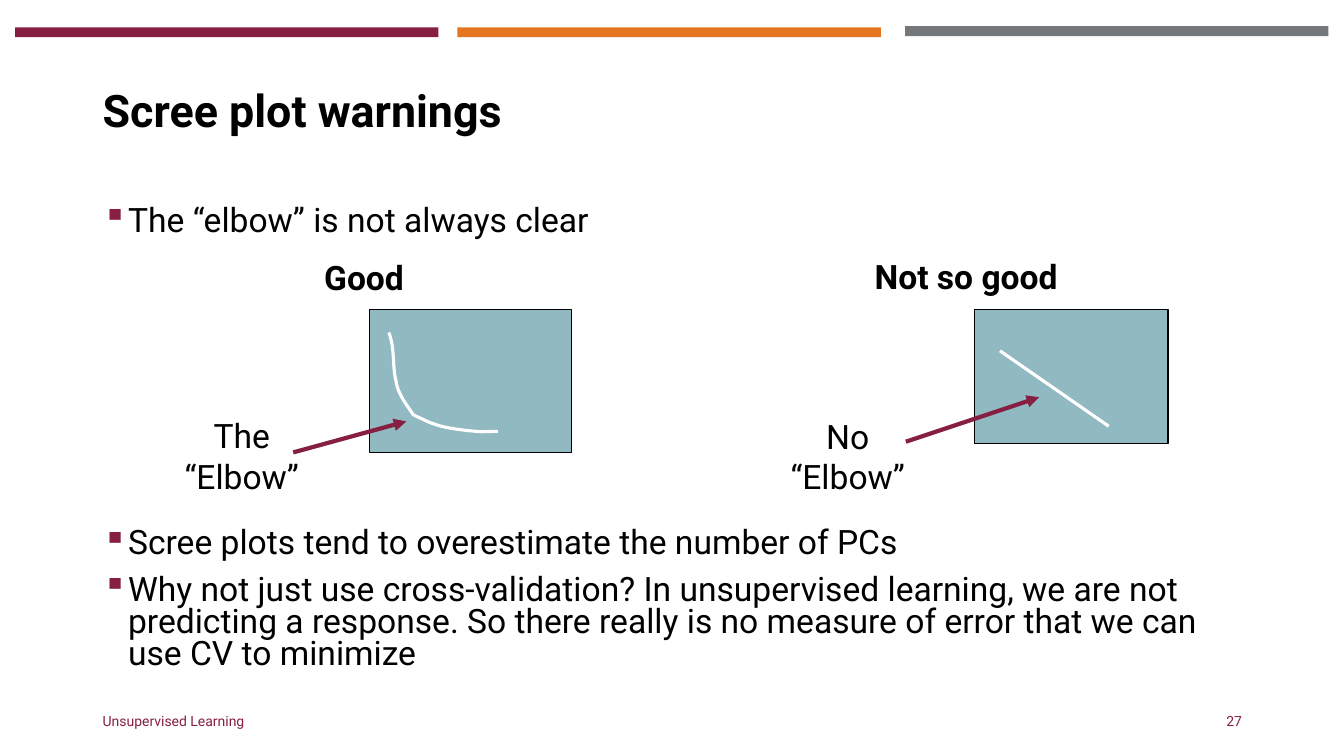
from dataclasses import dataclass

from lxml import etree
from pptx import Presentation
from pptx.dml.color import RGBColor
from pptx.enum.shapes import MSO_CONNECTOR, MSO_SHAPE
from pptx.enum.text import MSO_ANCHOR, PP_ALIGN
from pptx.oxml.ns import qn
from pptx.shapes.connector import Connector
from pptx.slide import Slide
from pptx.text.text import _Paragraph
from pptx.util import Cm, Pt

STRAIGHT = MSO_CONNECTOR.STRAIGHT
RECTANGLE = MSO_SHAPE.RECTANGLE
TOP, MIDDLE = MSO_ANCHOR.TOP, MSO_ANCHOR.MIDDLE
LEFT, CENTER, RIGHT = PP_ALIGN.LEFT, PP_ALIGN.CENTER, PP_ALIGN.RIGHT

MAROON = RGBColor(0x86, 0x1F, 0x41)
ORANGE = RGBColor(0xE5, 0x75, 0x1F)
GREY = RGBColor(0x75, 0x78, 0x7B)
TEAL = RGBColor(0x91, 0xB9, 0xC2)
BLACK = RGBColor(0, 0, 0)
WHITE = RGBColor(0xFF, 0xFF, 0xFF)
FONT = "Roboto"
CURVE_STEPS = 12

Point = tuple[float, float]
Area = tuple[float, float, float, float]


@dataclass
class Bar:
    left: float
    top: float
    color: RGBColor


@dataclass
class TextBlock:
    area: Area
    lines: list[str]
    size: int = 24
    color: RGBColor = BLACK
    bold: bool = False
    align: PP_ALIGN = LEFT
    anchor: MSO_ANCHOR = TOP
    wrap: bool = True
    spacing: float = 1.0
    bullets: bool = False


@dataclass
class ScreePlot:
    panel: Area
    heading: TextBlock
    label: TextBlock
    arrow: tuple[Point, Point]
    trend: list[Point]


BARS = [Bar(0.38, 0.69, MAROON), Bar(22.81, 0.66, GREY), Bar(11.53, 0.69, ORANGE)]

TEXTS = [
    TextBlock((2.34, 1.02, 29.21, 3.68), ["Scree plot warnings"], 32, bold=True,
              anchor=MIDDLE, spacing=0.9),
    TextBlock((2.34, 5.08, 29.21, 1.1), ["The “elbow” is not always clear"],
              spacing=0.8, bullets=True),
    TextBlock((2.34, 13.21, 29.21, 3.96), [
        "Scree plots tend to overestimate the number of PCs",
        "Why not just use cross-validation? In unsupervised learning, we are not "
        "predicting a response. So there really is no measure of error that we can "
        "use CV to minimize",
    ], spacing=0.8, bullets=True),
    TextBlock((2.34, 17.65, 11.43, 1.02), ["Unsupervised Learning"], 10, MAROON, anchor=MIDDLE),
    TextBlock((23.93, 17.65, 7.62, 1.02), ["27"], 10, MAROON, align=RIGHT, anchor=MIDDLE),
]

PLOTS = [
    ScreePlot(
        (9.32, 7.8, 5.08, 3.61),
        TextBlock((7.92, 6.35, 2.77, 1.27), ["Good"], bold=True, wrap=False),
        TextBlock((3.81, 10.34, 4.57, 2.31), ["The “Elbow”"], align=CENTER),
        ((7.39, 11.4), (10.24, 10.62)),
        [(9.8, 8.38), (9.96, 8.79), (9.88, 9.19), (9.98, 9.6),
         (10.03, 9.93), (10.24, 10.19), (10.41, 10.44),
         (10.41, 10.46), (10.72, 10.59), (10.77, 10.62),
         (11.13, 10.77), (11.38, 10.8), (11.79, 10.85),
         (12.32, 10.9), (12.01, 10.87), (12.55, 10.87)],
    ),
    ScreePlot(
        (24.56, 7.8, 4.88, 3.38),
        TextBlock((21.79, 6.32, 5.61, 1.27), ["Not so good"], bold=True, wrap=False),
        TextBlock((19.08, 10.36, 4.57, 2.31), ["No “Elbow”"], align=CENTER),
        ((22.83, 11.13), (26.19, 10.01)),
        [(25.2, 8.84), (27.94, 10.74)],
    ),
]


def add_rectangle(page: Slide, area: Area, fill: RGBColor, outline: RGBColor | None = None) -> None:
    """Draw a filled rectangle, outlined if a colour is given."""
    shape = page.shapes.add_shape(RECTANGLE, *map(Cm, area))
    shape.shadow.inherit = False
    shape.fill.solid()
    shape.fill.fore_color.rgb = fill
    if outline is None:
        shape.line.fill.background()
    else:
        shape.line.color.rgb = outline
        shape.line.width = Pt(1)


def add_bullet(para: _Paragraph) -> None:
    """Give a paragraph a hanging square bullet."""
    properties = para._p.get_or_add_pPr()
    properties.set("marL", str(Cm(0.64)))
    properties.set("indent", str(-Cm(0.64)))
    color = etree.SubElement(properties, qn("a:buClr"))
    etree.SubElement(color, qn("a:srgbClr"), val=str(MAROON))
    etree.SubElement(properties, qn("a:buChar"), char="▪")


def add_text(page: Slide, block: TextBlock) -> None:
    """Write a text block with one paragraph per line."""
    frame = page.shapes.add_textbox(*map(Cm, block.area)).text_frame
    frame.word_wrap = block.wrap
    frame.vertical_anchor = block.anchor
    for index, line in enumerate(block.lines):
        para = frame.add_paragraph() if index else frame.paragraphs[0]
        if block.bullets:
            add_bullet(para)
        para.alignment = block.align
        para.line_spacing = block.spacing
        para.space_before = Pt(10 if index else 0)
        span = para.add_run()
        span.text = line
        span.font.name = FONT
        span.font.size = Pt(block.size)
        span.font.bold = block.bold
        span.font.color.rgb = block.color


def add_line(page: Slide, start: Point, end: Point, color: RGBColor, width: float) -> Connector:
    """Draw a straight line without shadow."""
    line = page.shapes.add_connector(STRAIGHT, *map(Cm, start + end))
    line.line.color.rgb = color
    line.line.width = Pt(width)
    etree.SubElement(line._element.spPr, qn("a:effectLst"))
    return line


def bezier_point(controls: list[Point], t: float) -> Point:
    """Return the point at t on a cubic curve."""
    weights = ((1 - t) ** 3, 3 * t * (1 - t) ** 2, 3 * t * t * (1 - t), t ** 3)
    x, y = (sum(w * p[axis] for w, p in zip(weights, controls)) for axis in (0, 1))
    return Cm(x), Cm(y)


def add_curve(page: Slide, controls: list[Point]) -> None:
    """Draw joined cubic curves as an open white outline."""
    points = [bezier_point(controls[first:first + 4], step / CURVE_STEPS)
              for first in range(0, len(controls) - 1, 3)
              for step in range(1, CURVE_STEPS + 1)]
    builder = page.shapes.build_freeform(*map(Cm, controls[0]))
    builder.add_line_segments(points, close=False)
    curve = builder.convert_to_shape()
    curve.shadow.inherit = False
    curve.fill.background()
    curve.line.color.rgb = WHITE
    curve.line.width = Pt(2.25)


def add_scree_plot(page: Slide, plot: ScreePlot) -> None:
    """Draw a small scree plot with its heading, label and arrow."""
    add_text(page, plot.heading)
    add_text(page, plot.label)
    add_rectangle(page, plot.panel, TEAL, BLACK)
    if len(plot.trend) == 2:
        add_line(page, *plot.trend, WHITE, 2.25)
    else:
        add_curve(page, plot.trend)
    arrow = add_line(page, *plot.arrow, MAROON, 3)
    etree.SubElement(arrow.line._get_or_add_ln(), qn("a:tailEnd"), type="triangle")


def main() -> None:
    """Build and save the slide."""
    deck = Presentation()
    deck.slide_width, deck.slide_height = Cm(33.87), Cm(19.05)
    page = deck.slides.add_slide(deck.slide_layouts[6])
    for bar in BARS:
        add_rectangle(page, (bar.left, bar.top, 10.67, 0.25), bar.color)
    for block in TEXTS:
        add_text(page, block)
    for plot in PLOTS:
        add_scree_plot(page, plot)
    deck.save("out.pptx")


if __name__ == "__main__":
    main()
